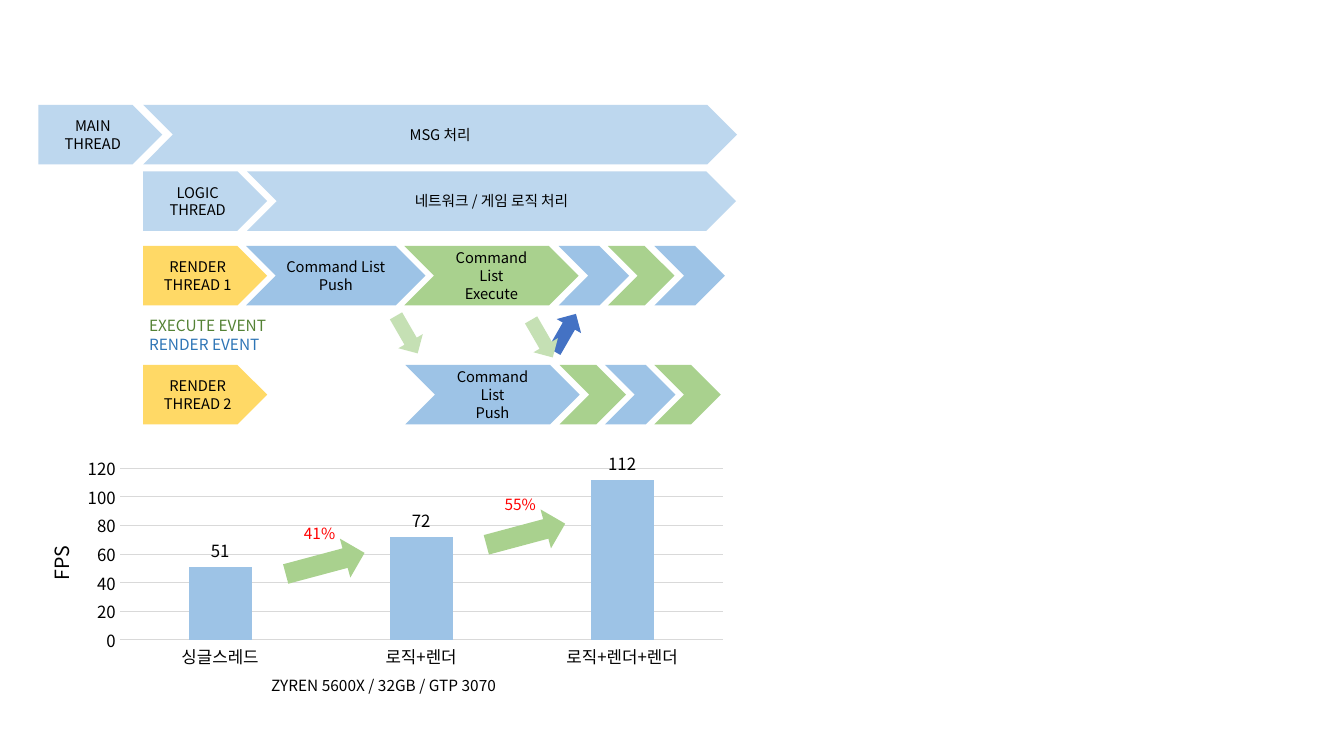
from copy import deepcopy
from dataclasses import dataclass

from lxml import etree
from pptx import Presentation
from pptx.chart.data import CategoryChartData
from pptx.dml.color import RGBColor
from pptx.enum.chart import XL_CHART_TYPE, XL_LABEL_POSITION, XL_TICK_MARK
from pptx.enum.shapes import MSO_SHAPE
from pptx.enum.text import MSO_AUTO_SIZE, PP_ALIGN
from pptx.oxml import parse_xml
from pptx.oxml.ns import nsdecls, qn
from pptx.util import Inches, Pt

FONT = "Noto Sans CJK KR"
COLORS = {
    "thread": "BDD7EE", "render": "FFD966", "push": "9DC3E6", "execute": "A9D18E",
    "execute_event": "C5E0B4", "render_event": "4472C4", "execute_text": "548235",
    "render_text": "2E75B6", "gain": "FF0000", "text": "000000", "grid": "D9D9D9",
}
# Tops of the four thread lanes
MAIN, LOGIC, RENDER_1, RENDER_2 = 1.04, 1.7, 2.44, 3.62
LANE_HEIGHT = 0.59


@dataclass
class Step:
    left: float
    top: float
    width: float
    color: str
    lines: tuple[str, ...] = ()
    preset: MSO_SHAPE = MSO_SHAPE.CHEVRON


@dataclass
class Arrow:
    left: float
    top: float
    width: float
    height: float
    angle: float
    color: str


@dataclass
class Label:
    left: float
    top: float
    width: float
    height: float
    lines: tuple[tuple[str, str], ...]
    align: PP_ALIGN = PP_ALIGN.CENTER


def thread(left: float, top: float, color: str, *lines: str) -> Step:
    return Step(left, top, 1.23, color, lines, MSO_SHAPE.PENTAGON)


def event(left: float, top: float, angle: float, color: str) -> Arrow:
    return Arrow(left, top, 0.43, 0.28, angle, color)


STEPS = [
    thread(0.38, MAIN, "thread", "MAIN", "THREAD"),
    thread(1.42, LOGIC, "thread", "LOGIC", "THREAD"),
    thread(1.42, RENDER_1, "render", "RENDER", "THREAD 1"),
    thread(1.42, RENDER_2, "render", "RENDER", "THREAD 2"),
    Step(1.42, MAIN, 5.89, "thread", ("MSG 처리",)),
    Step(2.45, LOGIC, 4.85, "thread", ("네트워크 / 게임 로직 처리",)),
    Step(2.44, RENDER_1, 1.78, "push", ("Command List", "Push")),
    Step(4.01, RENDER_1, 1.73, "execute", ("Command List", "Execute")),
    Step(5.54, RENDER_1, 0.7, "push"),
    Step(6.03, RENDER_1, 0.66, "execute"),
    Step(6.49, RENDER_1, 0.7, "push"),
    Step(4.02, RENDER_2, 1.73, "push", ("Command List", "Push")),
    Step(5.55, RENDER_2, 0.66, "execute"),
    Step(6, RENDER_2, 0.7, "push"),
    Step(6.49, RENDER_2, 0.66, "execute"),
]
EVENTS = [
    event(3.82, 3.18, 60, "execute_event"),
    event(5.39, 3.16, 300, "render_event"),
    event(5.16, 3.22, 60, "execute_event"),
]
GAIN_ARROWS = [
    Arrow(2.82, 5.39, 0.81, 0.4, 345, "execute"),
    Arrow(4.81, 5.1, 0.81, 0.4, 345, "execute"),
]
LABELS = [
    Label(1.38, 3.09, 1.57, 0.47,
          (("EXECUTE EVENT", "execute_text"), ("RENDER EVENT", "render_text")), PP_ALIGN.LEFT),
    Label(2.34, 6.66, 2.93, 0.29, (("ZYREN 5600X / 32GB / GTP 3070", "text"),)),
    Label(2.84, 5.15, 0.66, 0.29, (("41%", "gain"),)),
    Label(4.83, 4.86, 0.66, 0.29, (("55%", "gain"),)),
]


def rgb(name: str) -> RGBColor:
    return RGBColor.from_string(COLORS[name])


def style_font(font, size: float, color: str = "text") -> None:
    font.name, font.size, font.bold = FONT, Pt(size), False
    font.color.rgb = rgb(color)


def write_lines(frame, lines, size: float, align: PP_ALIGN) -> None:
    for index, (text, color) in enumerate(lines):
        paragraph = frame.add_paragraph() if index else frame.paragraphs[0]
        paragraph.alignment = align
        run = paragraph.add_run()
        run.text = text
        style_font(run.font, size, color)


def add_filled(slide, preset: MSO_SHAPE, box: tuple[float, ...], color: str):
    shape = slide.shapes.add_shape(preset, *map(Inches, box))
    shape.shadow.inherit = False
    shape.fill.solid()
    shape.fill.fore_color.rgb = rgb(color)
    shape.line.fill.background()
    return shape


def add_step(slide, step: Step) -> None:
    box = (step.left, step.top, step.width, LANE_HEIGHT)
    shape = add_filled(slide, step.preset, box, step.color)
    write_lines(shape.text_frame, [(line, "text") for line in step.lines], 10.5, PP_ALIGN.CENTER)


def add_arrow(slide, arrow: Arrow) -> None:
    box = (arrow.left, arrow.top, arrow.width, arrow.height)
    add_filled(slide, MSO_SHAPE.RIGHT_ARROW, box, arrow.color).rotation = arrow.angle


def add_label(slide, label: Label) -> None:
    box = (label.left, label.top, label.width, label.height)
    frame = slide.shapes.add_textbox(*map(Inches, box)).text_frame
    frame.word_wrap = True
    frame.auto_size = MSO_AUTO_SIZE.SHAPE_TO_FIT_TEXT
    write_lines(frame, label.lines, 11, label.align)


def place(parent, index: int, target: str = "", **fractions: float) -> None:
    """Give a chart part a fixed place, in fractions of the chart."""
    for old in parent.findall(qn("c:layout")):
        parent.remove(old)
    inner = f'<c:layoutTarget val="{target}"/>' if target else ""
    modes = '<c:xMode val="edge"/><c:yMode val="edge"/>'
    sizes = "".join(f'<c:{key} val="{value}"/>' for key, value in fractions.items())
    parent.insert(index, parse_xml(
        f'<c:layout {nsdecls("c")}><c:manualLayout>{inner}{modes}{sizes}'
        "</c:manualLayout></c:layout>"))


def add_fps_chart(slide):
    data = CategoryChartData()
    data.categories = ["싱글스레드", "로직+렌더", "로직+렌더+렌더"]
    data.add_series("FPS", (51, 72, 112))
    box = map(Inches, (0.19, 4.47, 7.12, 2.21))
    chart = slide.shapes.add_chart(XL_CHART_TYPE.COLUMN_CLUSTERED, *box, data).chart
    chart.has_legend = chart.has_title = False
    style_font(chart.font, 10)

    # Columns and their values
    plot = chart.plots[0]
    plot.gap_width, plot.overlap, plot.vary_by_categories = 219, -27, False
    fill = plot.series[0].format.fill
    fill.solid()
    fill.fore_color.rgb = rgb("push")
    plot.has_data_labels = True
    plot.data_labels.show_value = True
    plot.data_labels.position = XL_LABEL_POSITION.OUTSIDE_END
    style_font(plot.data_labels.font, 12)

    # Axes
    names, fps = chart.category_axis, chart.value_axis
    for axis in (names, fps):
        axis.major_tick_mark = axis.minor_tick_mark = XL_TICK_MARK.NONE
        style_font(axis.tick_labels.font, 12)
    fps.minimum_scale, fps.maximum_scale, fps.major_unit = 0, 120, 20
    fps.format.line.fill.background()
    fps.has_major_gridlines = True
    for line in (names.format.line, fps.major_gridlines.format.line):
        line.color.rgb = rgb("grid")
        line.width = Pt(0.75)

    # Axis title and fixed places
    title = fps.axis_title
    write_lines(title.text_frame, [("FPS", "text")], 14, PP_ALIGN.CENTER)
    title_xml = fps.axis_title._element
    title_xml.find(".//" + qn("a:bodyPr")).set("rot", "-5400000")
    place(title_xml, 1, x=0.03, y=0.41)
    plot_area = chart._chartSpace.find(".//" + qn("c:plotArea"))
    place(plot_area, 0, "inner", x=0.14, y=0.08, w=0.84, h=0.77)
    return chart


def set_korean_font(root: etree.ElementBase) -> None:
    """Use each text's Latin font for its Korean letters too."""
    for latin in list(root.iter(qn("a:latin"))):
        korean = deepcopy(latin)
        korean.tag = qn("a:ea")
        latin.addnext(korean)


def main() -> None:
    deck = Presentation()
    deck.slide_width, deck.slide_height = Inches(13.33), Inches(7.5)
    slide = deck.slides.add_slide(deck.slide_layouts[6])
    for step in STEPS:
        add_step(slide, step)
    for arrow in EVENTS:
        add_arrow(slide, arrow)
    chart = add_fps_chart(slide)
    for arrow in GAIN_ARROWS:
        add_arrow(slide, arrow)
    for label in LABELS:
        add_label(slide, label)
    for root in (slide.element, chart._chartSpace):
        set_korean_font(root)
    deck.save("out.pptx")


if __name__ == "__main__":
    main()
